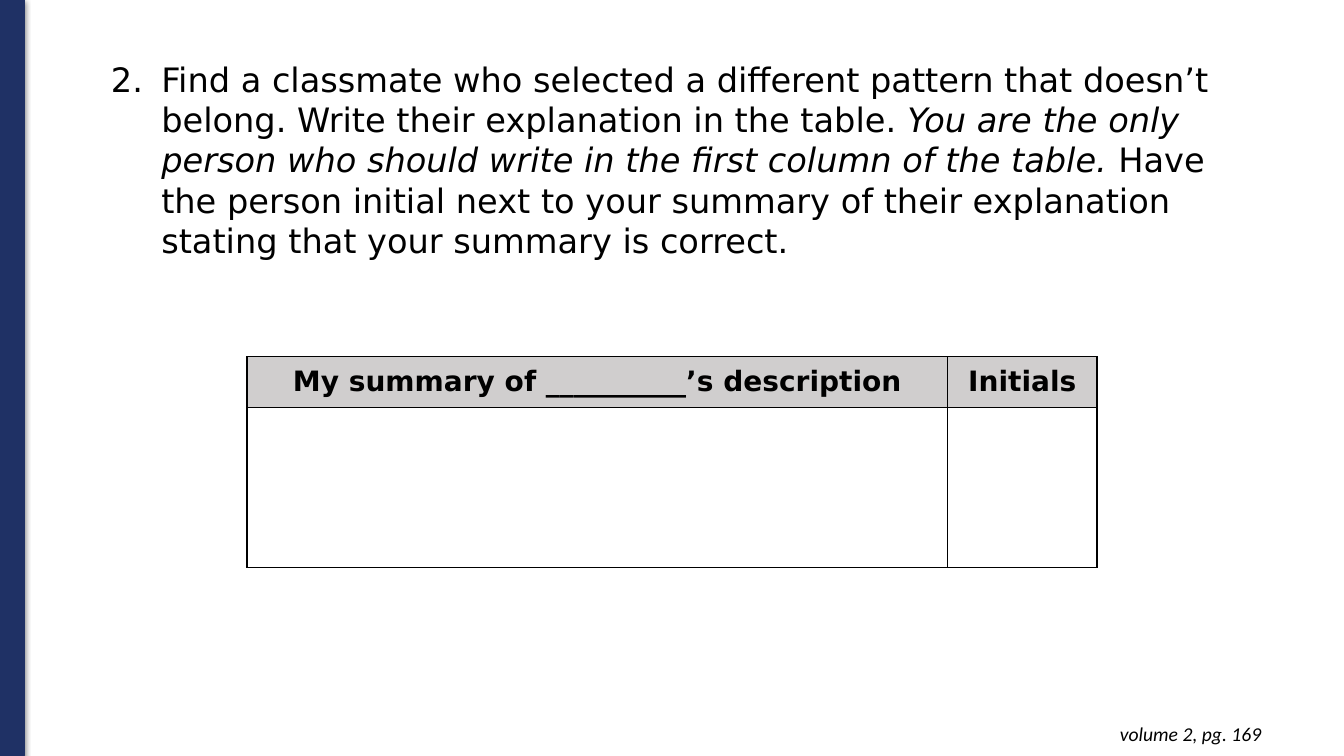
from lxml import etree
from pptx import Presentation
from pptx.dml.color import RGBColor
from pptx.enum.shapes import MSO_SHAPE
from pptx.enum.text import MSO_ANCHOR, MSO_AUTO_SIZE, PP_ALIGN
from pptx.oxml import parse_xml
from pptx.oxml.ns import qn
from pptx.util import Inches, Pt

RECTANGLE = MSO_SHAPE.RECTANGLE
MIDDLE, TOP = MSO_ANCHOR.MIDDLE, MSO_ANCHOR.TOP
FIT = MSO_AUTO_SIZE.SHAPE_TO_FIT_TEXT
LEFT, CENTER, RIGHT = PP_ALIGN.LEFT, PP_ALIGN.CENTER, PP_ALIGN.RIGHT
NS = "http://schemas.openxmlformats.org/drawingml/2006/main"
COLORS = {"navy": "1F3165", "black": "000000", "header": "D0CECE"}


def write(paragraph, text, size=24, font="DejaVu Sans", bold=False, italic=False, align=LEFT):
    paragraph.alignment = align
    run = paragraph.add_run()
    run.text = text
    run.font.size = Pt(size)
    run.font.name = font
    run.font.bold = bold
    run.font.italic = italic
    run.font.color.rgb = RGBColor.from_string(COLORS["black"])


prs = Presentation()
prs.slide_width, prs.slide_height = Inches(13.33), Inches(7.5)
slide = prs.slides.add_slide(prs.slide_layouts[1])
shapes = slide.shapes
unused_title = shapes.title.element
unused_title.getparent().remove(unused_title)

sidebar = shapes.add_shape(RECTANGLE, 0, 0, Inches(0.24), prs.slide_height)
sidebar.fill.solid()
sidebar.fill.fore_color.rgb = RGBColor.from_string(COLORS["navy"])
sidebar.line.color.rgb = RGBColor.from_string(COLORS["navy"])
sidebar.line.width = Pt(0.75)
sidebar.shadow.inherit = False
sidebar.element.spPr.find(qn("a:effectLst")).append(parse_xml(
    f'<a:outerShdw xmlns:a="{NS}" blurRad="{Pt(4.5)}" dist="{Pt(1.5)}" dir="5400000" rotWithShape="0">'
    f'<a:srgbClr val="{COLORS["black"]}"><a:alpha val="50000"/></a:srgbClr></a:outerShdw>'))

page_reference = shapes.add_textbox(Inches(9.73), Inches(7.06), Inches(2.88), Inches(0.44))
reference_frame = page_reference.text_frame
reference_frame.word_wrap = True
reference_frame.auto_size = FIT
reference_frame.margin_left = reference_frame.margin_right = Inches(0.1)
reference_frame.margin_top = reference_frame.margin_bottom = Inches(0.1)
write(reference_frame.paragraphs[0], "volume 2, pg. 169", size=14, font="Calibri", italic=True, align=RIGHT)

instructions = slide.placeholders[1]
instructions.left, instructions.top = Inches(1), Inches(0.53)
instructions.width, instructions.height = Inches(11.5), Inches(2.52)
instructions_frame = instructions.text_frame
instructions_frame.word_wrap = True
instructions_frame.auto_size = FIT
instructions_frame.vertical_anchor = TOP
step = instructions_frame.paragraphs[0]
step.space_before = Pt(0)
step.line_spacing = 1.0
numbering = step._p.get_or_add_pPr()
numbering.set("marL", str(Inches(0.5)))
numbering.set("indent", str(Inches(-0.5)))
number_color = etree.SubElement(numbering, qn("a:buClr"))
etree.SubElement(number_color, qn("a:srgbClr"), val=COLORS["black"])
etree.SubElement(numbering, qn("a:buFont"), typeface="DejaVu Sans")
etree.SubElement(numbering, qn("a:buAutoNum"), type="arabicPeriod", startAt="2")
for sentence, emphasis in [
    ("Find a classmate who selected a different pattern that doesn’t belong. "
     "Write their explanation in the table. ", False),
    ("You are the only person who should write in the first column of the table. ", True),
    ("Have the person initial next to your summary of their explanation "
     "stating that your summary is correct.", False),
]:
    write(step, sentence, italic=emphasis)

headings = ["My summary of __________’s description", "Initials"]
column_widths = [6.95, 1.48]
row_heights = [0.5, 1.59]
summary = shapes.add_table(len(row_heights), len(headings), Inches(2.45), Inches(3.54),
                           Inches(sum(column_widths)), Inches(sum(row_heights))).table
summary.first_row = summary.horz_banding = False
for column, width in zip(summary.columns, column_widths):
    column.width = Inches(width)
for row, height in zip(summary.rows, row_heights):
    row.height = Inches(height)

for cell in summary.iter_cells():
    borders = cell._tc.get_or_add_tcPr()
    for side in ("lnL", "lnR", "lnT", "lnB"):
        borders.append(parse_xml(
            f'<a:{side} xmlns:a="{NS}" w="{Pt(1)}"><a:solidFill>'
            f'<a:srgbClr val="{COLORS["black"]}"/></a:solidFill></a:{side}>'))
    cell.fill.background()

for heading, cell in zip(headings, summary.rows[0].cells):
    cell.fill.solid()
    cell.fill.fore_color.rgb = RGBColor.from_string(COLORS["header"])
    cell.vertical_anchor = MIDDLE
    cell.margin_left = cell.margin_right = Inches(0.08)
    cell.margin_top = cell.margin_bottom = 0
    write(cell.text_frame.paragraphs[0], heading, size=20, bold=True, align=CENTER)

prs.save("out.pptx")
